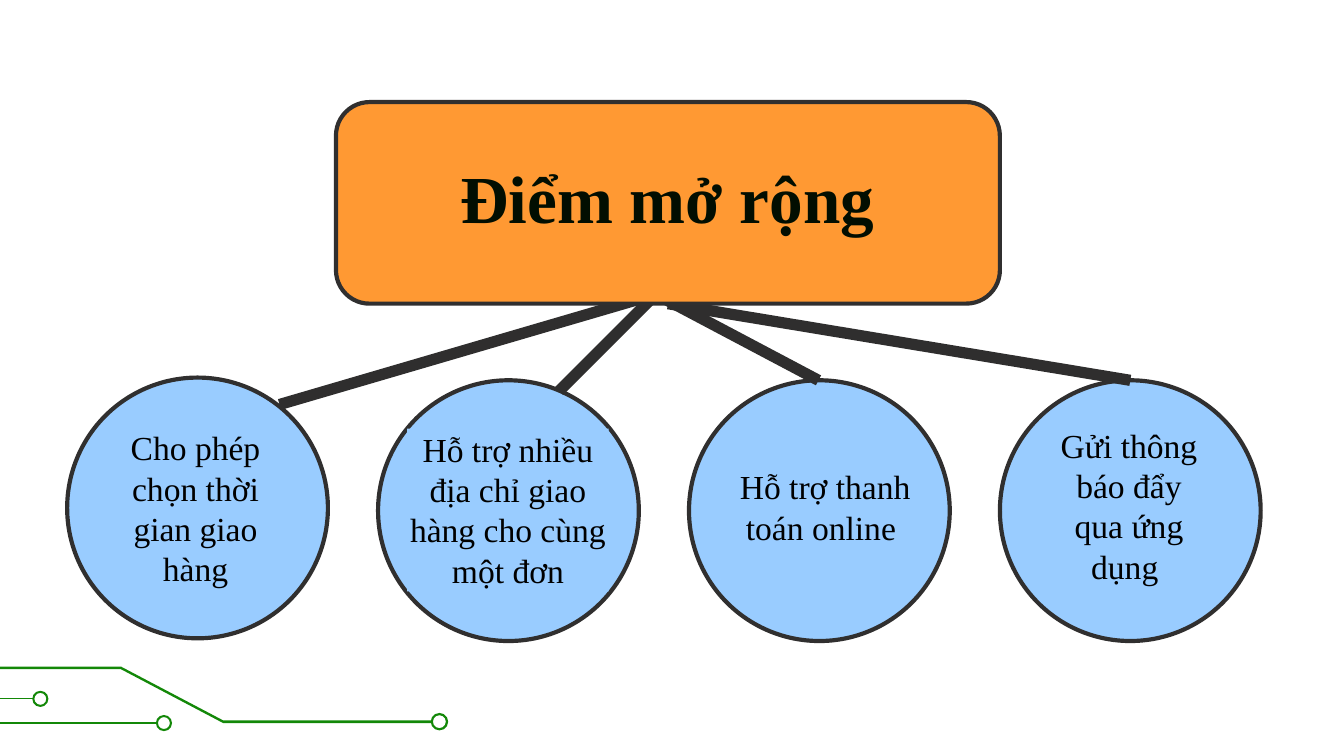
from lxml import etree
from pptx import Presentation
from pptx.dml.color import RGBColor
from pptx.enum.shapes import MSO_CONNECTOR, MSO_SHAPE
from pptx.enum.text import MSO_ANCHOR, MSO_AUTO_SIZE, PP_ALIGN
from pptx.oxml.ns import qn
from pptx.util import Inches, Pt

STRAIGHT = MSO_CONNECTOR.STRAIGHT
OVAL, DONUT = MSO_SHAPE.OVAL, MSO_SHAPE.DONUT
RECTANGLE, ROUNDED = MSO_SHAPE.RECTANGLE, MSO_SHAPE.ROUNDED_RECTANGLE
CENTER, TOP = PP_ALIGN.CENTER, MSO_ANCHOR.TOP
FIT_SHAPE = MSO_AUTO_SIZE.SHAPE_TO_FIT_TEXT

FONT = "Times New Roman"
GREEN, ORANGE, BLUE = "138808", "FF9933", "99CCFF"
OUTLINE, SPOKE = "302F2F", "2F2E2E"
FIRST_LEFT, LAST_LEFT, CIRCLE_SIZE = 0.5, 7.44, 1.94

BRANCHES = [
    (2.81, (0.83, 3.18, 1.25, 1.21), "Cho phép chọn thời gian giao hàng"),
    (2.83, (3.03, 3.19, 1.5, 1.21), "Hỗ trợ nhiều địa chỉ giao hàng cho cùng một đơn"),
    (2.83, (5.39, 3.47, 1.5, 0.61), "Hỗ trợ thanh toán online "),
    (2.83, (7.84, 3.16, 1.12, 1.21), "Gửi thông báo đẩy qua ứng dụng "),
]
SPOKES = [
    ((4.88, 2.19), (2.08, 3.01)),
    ((4.88, 2.19), (4.16, 2.91)),
    ((4.88, 2.19), (6.09, 2.83)),
    ((4.97, 2.26), (8.41, 2.83)),
]
TRACES = [
    ([(0, 5.38), (1.17, 5.38)], 0.01, (1.22, 5.38), 0.12),
    ([(0, 5.2), (0.25, 5.2)], 0.01, (0.3, 5.2), 0.12),
    ([(0, 4.97), (0.9, 4.97), (1.66, 5.37), (3.22, 5.37)], 0.02, (3.27, 5.37), 0.13),
]


def color(hex_value):
    """Turn a hex string into a colour."""
    return RGBColor.from_string(hex_value)


def paint(shape, fill, line=None):
    """Give a shape a flat fill and an optional outline."""
    shape.shadow.inherit = False
    shape.fill.solid()
    shape.fill.fore_color.rgb = color(fill)
    if line:
        shape.line.color.rgb = color(line)
        shape.line.width = Pt(2.25)
    else:
        shape.line.fill.background()


def add_block(slide, kind, box, fill, line=None):
    """Add a painted preset shape at a box in inches."""
    shape = slide.shapes.add_shape(kind, *map(Inches, box))
    paint(shape, fill, line)
    return shape


def write(shape, text, size, font_color, bold=False):
    """Set centred text without margins."""
    frame = shape.text_frame
    frame.text = text
    frame.word_wrap = True
    frame.auto_size = FIT_SHAPE
    frame.vertical_anchor = TOP
    frame.margin_left = frame.margin_right = frame.margin_top = frame.margin_bottom = 0
    paragraph = frame.paragraphs[0]
    paragraph.alignment = CENTER
    font = paragraph.runs[0].font
    font.name, font.size, font.bold = FONT, Pt(size), bold
    font.color.rgb = color(font_color)


def add_trace(slide, points, thickness, center, diameter):
    """Draw a circuit band that ends in a ring."""
    half = thickness / 2
    upper = [(Inches(x), Inches(y - half)) for x, y in points]
    lower = [(Inches(x), Inches(y + half)) for x, y in reversed(points)]
    builder = slide.shapes.build_freeform(*upper[0], scale=1.0)
    builder.add_line_segments(upper[1:] + lower, close=True)
    paint(builder.convert_to_shape(), GREEN)
    left, top = (value - diameter / 2 for value in center)
    ring = add_block(slide, DONUT, (left, top, diameter, diameter), GREEN)
    ring.adjustments[0] = 0.13


def add_branch(slide, index, top, label_box, label):
    """Add one circle with its label."""
    step = (LAST_LEFT - FIRST_LEFT) / (len(BRANCHES) - 1)
    left = FIRST_LEFT + index * step
    add_block(slide, OVAL, (left, top, CIRCLE_SIZE, CIRCLE_SIZE), BLUE, OUTLINE)
    write(add_block(slide, RECTANGLE, label_box, BLUE), label, 18, "000000")


def add_spoke(slide, start, end):
    """Add a thick line from the heading to a circle."""
    spoke = slide.shapes.add_connector(STRAIGHT, *map(Inches, start + end))
    spoke.line.color.rgb = color(SPOKE)
    spoke.line.width = Pt(6)
    etree.SubElement(spoke._element.spPr, qn("a:effectLst"))


def add_heading(slide):
    """Add the heading panel and put the title in front of it."""
    add_block(slide, ROUNDED, (2.5, 0.76, 4.94, 1.5), ORANGE, OUTLINE)
    title = slide.shapes.title
    title.left, title.top, title.width, title.height = map(Inches, (3.06, 1.16, 3.81, 0.61))
    write(title, "Điểm mở rộng", 36, "020E01", bold=True)
    slide.shapes._spTree.append(title._element)


def main():
    """Build and save the slide."""
    presentation = Presentation()
    presentation.slide_width = Inches(10)
    presentation.slide_height = presentation.slide_width * 9 // 16
    slide = presentation.slides.add_slide(presentation.slide_layouts[5])
    for trace in TRACES:
        add_trace(slide, *trace)
    for index, branch in enumerate(BRANCHES):
        add_branch(slide, index, *branch)
    for spoke in SPOKES:
        add_spoke(slide, *spoke)
    add_heading(slide)
    presentation.save("out.pptx")


if __name__ == "__main__":
    main()
